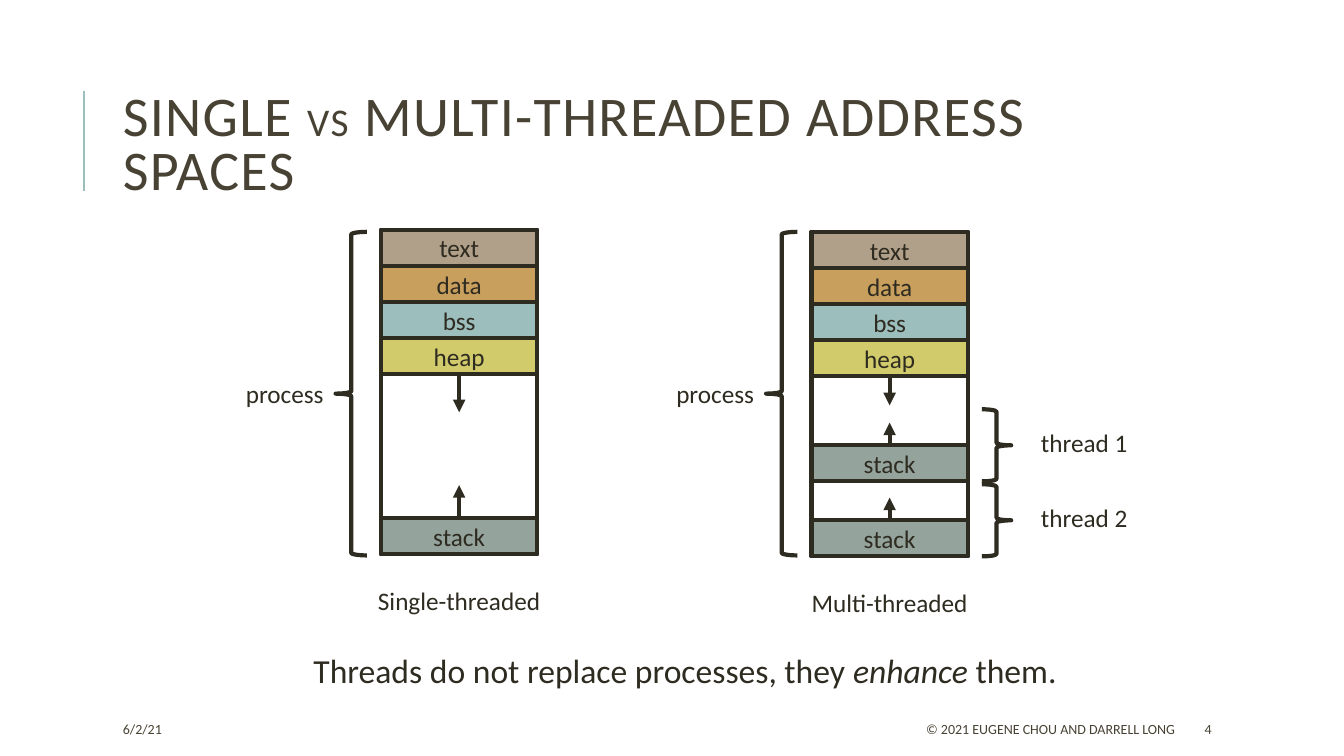
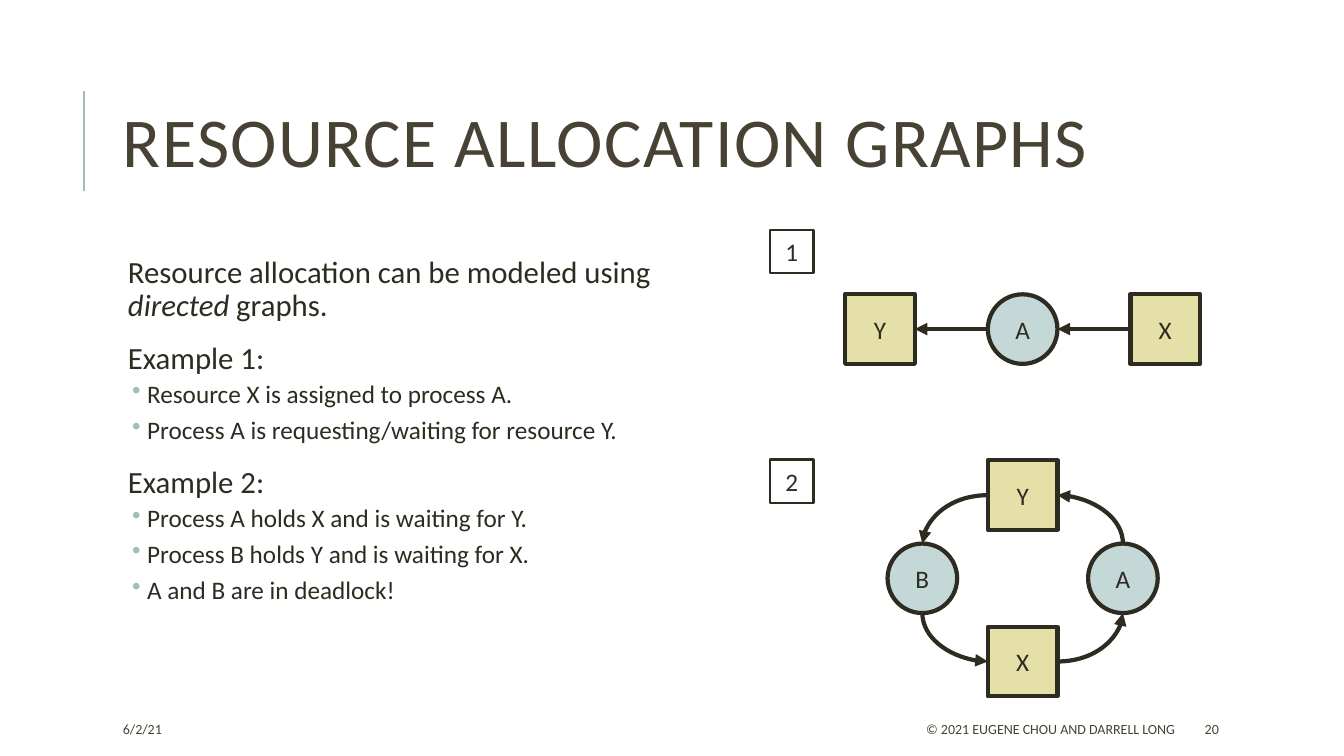
from dataclasses import dataclass
from typing import NamedTuple, Optional

from lxml.etree import SubElement
from pptx import Presentation
from pptx.dml.color import RGBColor
from pptx.enum.shapes import MSO_CONNECTOR as Route, MSO_SHAPE as Preset
from pptx.enum.text import MSO_ANCHOR as Anchor, PP_ALIGN as Align
from pptx.oxml.ns import qn
from pptx.util import Emu, Inches, Pt

# Palette and type
INK = RGBColor(0x2E, 0x2B, 0x21)
OLIVE = RGBColor(0x47, 0x42, 0x33)
TEAL = RGBColor(0x9C, 0xBE, 0xBD)
PALE_TEAL = RGBColor(0xC4, 0xD8, 0xD7)
PALE_LIME = RGBColor(0xE4, 0xE0, 0xA7)
TAUPE = RGBColor(0xB1, 0xA0, 0x89)
OCHRE = RGBColor(0xC8, 0x9F, 0x5D)
LIME = RGBColor(0xD2, 0xCB, 0x6C)
SAGE = RGBColor(0x95, 0xA3, 0x9D)
WHITE = RGBColor(0xFF, 0xFF, 0xFF)
FONT = "Calibri"
OUTLINE = 3

# Slide size; every place is a percentage of it
SLIDE_W, SLIDE_H = Inches(13.33), Inches(7.5)
MARGIN = 8.4


class Place(NamedTuple):
    left: float
    top: float
    width: float
    height: float


class Point(NamedTuple):
    x: float
    y: float


class Piece(NamedTuple):
    text: str
    size: float = 18
    italic: bool = False


def across(share: float) -> Emu:
    return Emu(round(SLIDE_W * share / 100))


def down(share: float) -> Emu:
    return Emu(round(SLIDE_H * share / 100))


def spot(place: Place) -> tuple:
    return (across(place.left), down(place.top),
            across(place.width), down(place.height))


def centred(middle: Point, width: float, height: float) -> Place:
    return Place(middle.x - width / 2, middle.y - height / 2, width, height)


# Basic parts
def write(paragraph, pieces: list, color=INK, align=Align.LEFT) -> None:
    paragraph.alignment = align
    for piece in pieces:
        run = paragraph.add_run()
        run.text = piece.text
        run.font.name, run.font.size = FONT, Pt(piece.size)
        run.font.italic = piece.italic
        run.font.color.rgb = color


def label(slide, place: Place, pieces: list, color=INK, align=Align.CENTER,
          anchor=Anchor.TOP):
    frame = slide.shapes.add_textbox(*spot(place)).text_frame
    frame.word_wrap = True
    frame.vertical_anchor = anchor
    write(frame.paragraphs[0], pieces, color, align)
    return frame


def block(slide, place: Place, preset=Preset.RECTANGLE,
          fill: Optional[RGBColor] = None, text: str = "", weight=OUTLINE):
    shape = slide.shapes.add_shape(preset, *spot(place))
    shape.shadow.inherit = False
    if fill is None:
        shape.fill.background()
    else:
        shape.fill.solid()
        shape.fill.fore_color.rgb = fill
    shape.line.color.rgb = INK
    shape.line.width = Pt(weight)
    if text:
        shape.text_frame.vertical_anchor = Anchor.MIDDLE
        write(shape.text_frame.paragraphs[0], [Piece(text)],
              align=Align.CENTER)
    return shape


def connect(slide, start: Point, end: Point, color=INK, weight=OUTLINE,
            arrow: str = "", route=Route.STRAIGHT):
    line = slide.shapes.add_connector(
        route, across(start.x), down(start.y), across(end.x), down(end.y))
    line.line.color.rgb = color
    line.line.width = Pt(weight)
    properties = line._element.spPr
    if arrow:
        SubElement(properties.find(qn("a:ln")), qn(f"a:{arrow}"),
                   type="triangle")
    SubElement(properties, qn("a:effectLst"))
    return line


# Title, side rule and footer shared by the slides
def start_slide(deck, title: list, number: int):
    slide = deck.slides.add_slide(deck.slide_layouts[6])
    connect(slide, Point(6.25, 25.33), Point(6.25, 12), TEAL, 1.5)
    heading = label(slide, Place(MARGIN, 8.53, 79.75, 21.87), title, OLIVE,
                    Align.LEFT, Anchor.MIDDLE).paragraphs[0]
    heading.line_spacing = 0.8
    for run in heading.runs:
        run.font._element.set("spc", "100")
    for text, left, width, align in (
            ("6/2/21", MARGIN, 17.7, Align.LEFT),
            ("© 2021 EUGENE CHOU AND DARRELL LONG", 39.75, 48.4, Align.RIGHT),
            (str(number), 88.9, 7.95, Align.LEFT)):
        label(slide, Place(left, 94.4, width, 4), [Piece(text, 10)], OLIVE,
              align, Anchor.MIDDLE)
    return slide


# Address spaces: nine equal rows
SPACE_W, SPACE_H = 11.63, 42.93
ROW = SPACE_H / 9
LABEL_H = 5.33
SEGMENTS = (("text", TAUPE), ("data", OCHRE), ("bss", TEAL), ("heap", LIME))


@dataclass
class AddressSpace:
    caption: str
    left: float
    top: float
    stack_rows: tuple
    heap_reach: float
    stack_reach: float
    threads: tuple = ()

    def row(self, index: float) -> float:
        return self.top + index * ROW


def draw_space(slide, space: AddressSpace) -> None:
    left, middle = space.left, space.left + SPACE_W / 2
    block(slide, Place(left, space.top, SPACE_W, SPACE_H), fill=WHITE)
    label(slide, Place(left - 1.84, space.top + 46.4, 15.3, LABEL_H),
          [Piece(space.caption)])
    block(slide, Place(left - 3.38, 30.67, 2.33, 42.8), Preset.LEFT_BRACE)
    label(slide, Place(left - 11.48, 49.33, 8.63, LABEL_H), [Piece("process")])

    stacks = [("stack", SAGE, row) for row in space.stack_rows]
    segments = [(name, fill, row) for row, (name, fill) in enumerate(SEGMENTS)]
    for name, fill, row in segments + stacks:
        block(slide, Place(left, space.row(row), SPACE_W, ROW), fill=fill,
              text=name)

    # Growth of heap and stacks
    growth = [(len(SEGMENTS), space.heap_reach)]
    growth += [(row, -space.stack_reach) for row in space.stack_rows]
    for row, reach in growth:
        connect(slide, Point(middle, space.row(row)),
                Point(middle, space.row(row + reach)), arrow="tailEnd")

    for thread, row in zip(space.threads, space.stack_rows):
        block(slide, Place(left + 12.68, space.row(row - 1), 2.18, 2 * ROW),
              Preset.RIGHT_BRACE)
        label(slide, Place(left + 14.85, space.row(row - 0.08) - LABEL_H / 2,
                           10.88, LABEL_H), [Piece(thread)])


def address_spaces(deck) -> None:
    slide = start_slide(deck, [Piece("SINGLE ", 40), Piece("VS", 28),
                               Piece(" MULTI-THREADED ADDRESS SPACES", 40)], 4)
    for space in (
            AddressSpace("Single-threaded", 28.35, 30.4, (8,), 1.06, 0.92),
            AddressSpace("Multi-threaded", 60.38, 30.67, (5.92, 8), 0.81, 0.63,
                         ("thread 1", "thread 2"))):
        draw_space(slide, space)
    label(slide, Place(22.58, 85.33, 57.3, 6.67),
          [Piece("Threads do not replace processes, they ", 24),
           Piece("enhance ", 24, True), Piece("them.", 24)], align=Align.LEFT)


# Resource allocation graphs
NODE_W, NODE_H = 5.18, 9.2
SIDES = {"top": (0, -1), "left": (-1, 0), "bottom": (0, 1), "right": (1, 0)}
SQUARE_SITES = {"top": 0, "left": 1, "bottom": 2, "right": 3}
CIRCLE_SITES = {"top": 0, "left": 2, "bottom": 4, "right": 6}


@dataclass
class Node:
    name: str
    middle: Point
    is_process: bool = False
    shape_id: int = 0

    def side(self, side: str) -> Point:
        dx, dy = SIDES[side]
        return Point(self.middle.x + dx * NODE_W / 2,
                     self.middle.y + dy * NODE_H / 2)

    def site(self, side: str) -> int:
        return (CIRCLE_SITES if self.is_process else SQUARE_SITES)[side]


def draw_node(slide, node: Node) -> None:
    preset, fill = ((Preset.OVAL, PALE_TEAL) if node.is_process
                    else (Preset.RECTANGLE, PALE_LIME))
    node.shape_id = block(slide, centred(node.middle, NODE_W, NODE_H), preset,
                          fill, node.name).shape_id


def draw_edge(slide, start: Node, start_side: str, end: Node, end_side: str,
              arrow="tailEnd", curved=False) -> None:
    edge = connect(slide, start.side(start_side), end.side(end_side),
                   arrow=arrow, route=Route.CURVE if curved else Route.STRAIGHT)
    if curved:
        edge._element.spPr.find(qn("a:prstGeom")).set("prst",
                                                      "curvedConnector2")
    joints = edge._element.nvCxnSpPr.cNvCxnSpPr
    for tag, node, side in (("a:stCxn", start, start_side),
                            ("a:endCxn", end, end_side)):
        SubElement(joints, qn(tag), id=str(node.shape_id),
                   idx=str(node.site(side)))


def add_bullet(paragraph) -> None:
    properties = paragraph._p.get_or_add_pPr()
    properties.set("marL", str(Inches(0.29)))
    properties.set("indent", str(Inches(-0.15)))
    color = SubElement(properties, qn("a:buClr"))
    SubElement(color, qn("a:srgbClr"), val=str(TEAL))
    SubElement(properties, qn("a:buChar"), char="•")


def draw_outline(slide, outline: list) -> None:
    frame = slide.shapes.add_textbox(
        *spot(Place(MARGIN, 33.33, 40.8, 58.67))).text_frame
    frame.word_wrap = True
    frame.margin_left = frame.margin_right = Inches(0.05)
    for index, entry in enumerate(outline):
        paragraph = frame.add_paragraph() if index else frame.paragraphs[0]
        if isinstance(entry, str):
            add_bullet(paragraph)
            pieces, before, after = [Piece(entry)], 2, 4
        else:
            paragraph._p.get_or_add_pPr().set("marL", str(Inches(0.1)))
            pieces, before, after = entry, 12, 2
        paragraph.line_spacing = 0.9
        paragraph.space_before = Pt(before if index else 0)
        paragraph.space_after = Pt(after)
        write(paragraph, pieces)


def allocation_graphs(deck) -> None:
    slide = start_slide(deck, [Piece("RESOURCE ALLOCATION GRAPHS", 50)], 20)
    draw_outline(slide, [
        [Piece("Resource allocation can be modeled using ", 22),
         Piece("directed", 22, True), Piece(" graphs.", 22)],
        [Piece("Example 1:", 22)],
        "Resource X is assigned to process A.",
        "Process A is requesting/waiting for resource Y.",
        [Piece("Example 2:", 22)],
        "Process A holds X and is waiting for Y.",
        "Process B holds Y and is waiting for X.",
        "A and B are in deadlock!",
    ])
    for number, top in (("1", 30.4), ("2", 60.8)):
        block(slide, Place(57.3, top, 3.23, 5.73), fill=WHITE, text=number,
              weight=1.75)

    # Example 1: a chain
    axis, chain_y, step = 76.09, 43.53, 10.61
    wanted = Node("Y", Point(axis - step, chain_y))
    process = Node("A", Point(axis, chain_y), True)
    held = Node("X", Point(axis + step, chain_y))
    for node in (wanted, process, held):
        draw_node(slide, node)
    draw_edge(slide, held, "left", process, "right")
    draw_edge(slide, process, "left", wanted, "right")

    # Example 2: a cycle; each curve leaves a resource sideways
    cycle_y, reach_x, reach_y = 76.5, 7.46, 11
    upper = Node("Y", Point(axis, cycle_y - reach_y))
    lower = Node("X", Point(axis, cycle_y + reach_y))
    west = Node("B", Point(axis - reach_x, cycle_y), True)
    east = Node("A", Point(axis + reach_x, cycle_y), True)
    for node in (upper, lower, west, east):
        draw_node(slide, node)
    for resource, exit_side, owner, entry_side, arrow in (
            (upper, "right", east, "top", "headEnd"),
            (upper, "left", west, "top", "tailEnd"),
            (lower, "left", west, "bottom", "headEnd"),
            (lower, "right", east, "bottom", "tailEnd")):
        draw_edge(slide, resource, exit_side, owner, entry_side, arrow, True)


def main() -> None:
    deck = Presentation()
    deck.slide_width, deck.slide_height = SLIDE_W, SLIDE_H
    address_spaces(deck)
    allocation_graphs(deck)
    deck.save("out.pptx")


if __name__ == "__main__":
    main()
